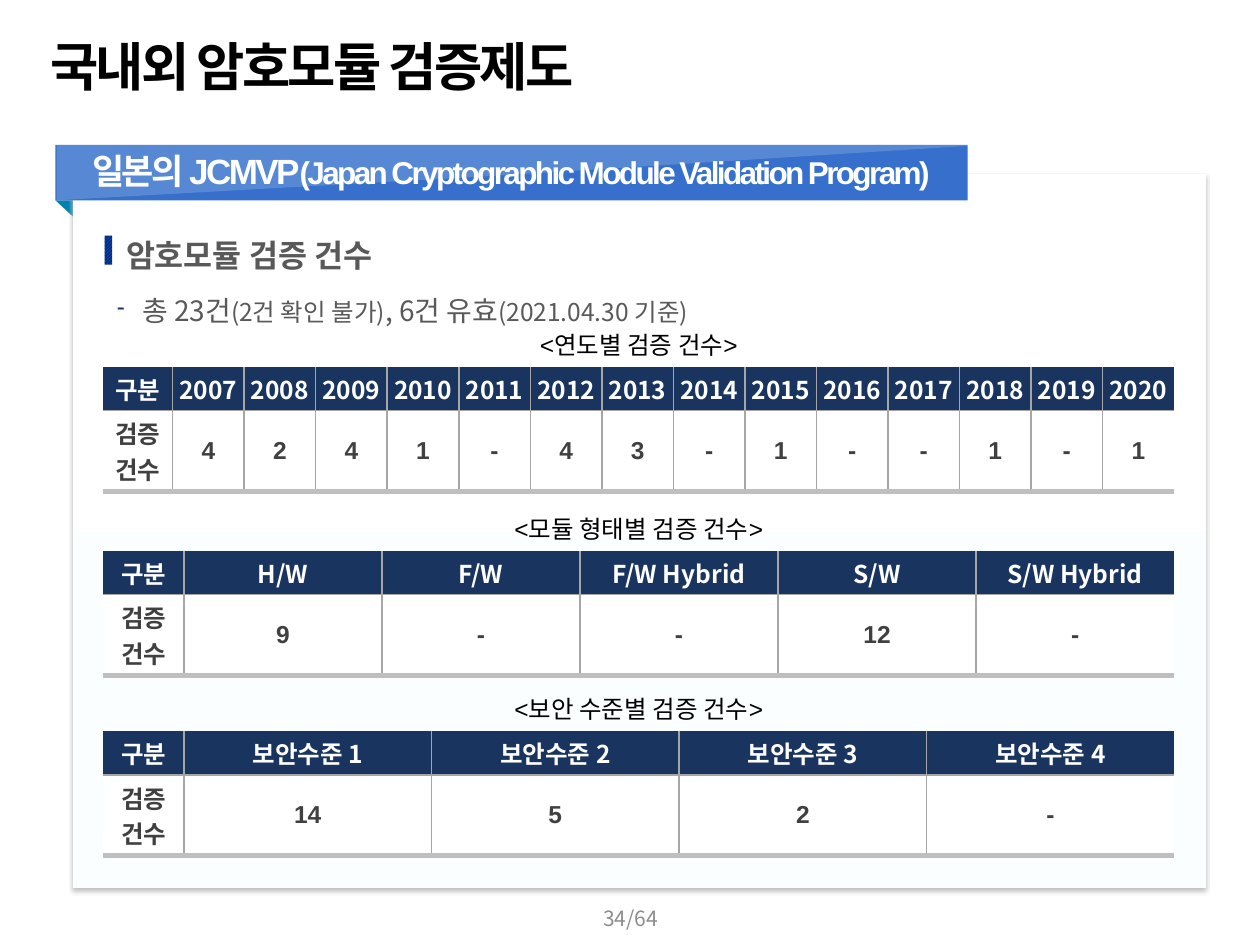
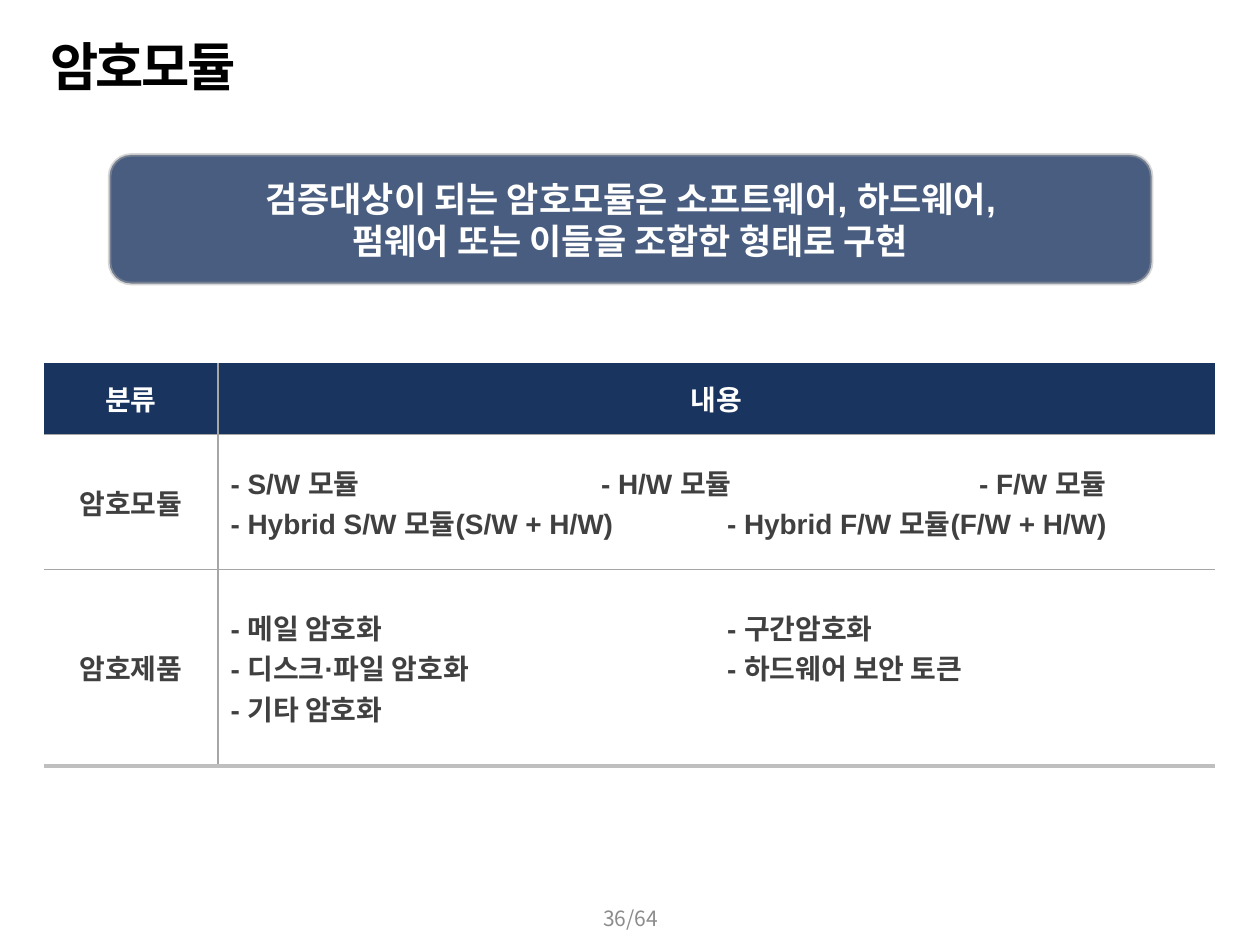
from dataclasses import dataclass, replace

from lxml import etree
from pptx import Presentation
from pptx.dml.color import RGBColor
from pptx.enum.dml import MSO_PATTERN
from pptx.enum.shapes import MSO_SHAPE
from pptx.enum.text import MSO_ANCHOR, PP_ALIGN
from pptx.oxml.ns import qn
from pptx.util import Inches, Pt


@dataclass(frozen=True)
class TextStyle:
    size: int
    color: str
    font: str = "Arial"
    bold: bool = False
    spacing: float = 0


@dataclass(frozen=True)
class Box:
    left: float
    top: float
    width: float
    height: float

    def inches(self):
        return [Inches(value) for value in (self.left, self.top, self.width, self.height)]

    def inner(self, left, top, width, height):
        """Return a box whose place is measured from this one's corner."""
        return Box(self.left + left, self.top + top, width, height)


class Theme:
    korean = "Noto Sans CJK KR"
    navy = "19345F"
    white = "FFFFFF"
    rule = "A6A6A6"
    bottom_rule = "BFBFBF"
    card_end = "FBFEFF"
    banner = "3670CC"
    fold = "0082B0"
    marker = ("2E64B4", "002D89")
    callout = "485D7F"
    title = TextStyle(30, "000000", bold=True, spacing=-1.5)
    banner_large = TextStyle(20, white, bold=True, spacing=-1.5)
    banner_small = replace(banner_large, size=18)
    heading = TextStyle(18, "595959", korean, True)
    detail_large = TextStyle(16, "595959", korean)
    detail_small = replace(detail_large, size=14)
    caption = TextStyle(14, "000000")
    header_cell = TextStyle(14, white, korean, True)
    body_cell = TextStyle(14, "404040", bold=True)
    callout_text = TextStyle(20, white, bold=True)
    page = TextStyle(12, "8C8C8C", korean)


def rgb(value):
    return RGBColor.from_string(value)


def add_element(parent, tag, **attributes):
    element = etree.SubElement(parent, qn(tag))
    for name, value in attributes.items():
        element.set(name, str(value))
    return element


def set_alpha(fill, percent):
    """Make a solid colour fill partly transparent."""
    color = fill.find(".//" + qn("a:srgbClr"))
    add_element(color, "a:alpha", val=percent * 1000)


def add_run(paragraph, text, style):
    run = paragraph.add_run()
    run.text = text
    formats = {"name": style.font, "size": Pt(style.size), "bold": style.bold}
    for name, value in formats.items():
        setattr(run.font, name, value)
    run.font.color.rgb = rgb(style.color)
    properties = run.font._element
    add_element(properties, "a:ea", typeface=Theme.korean)
    if style.spacing:
        properties.set("spc", str(int(style.spacing * 100)))


def write(frame, lines, style, align=PP_ALIGN.LEFT):
    """Write one paragraph a line; a line is text or (text, style) pairs."""
    for index, line in enumerate(lines):
        paragraph = frame.add_paragraph() if index else frame.paragraphs[0]
        paragraph.alignment = align
        for text, run_style in [(line, style)] if isinstance(line, str) else line:
            add_run(paragraph, text, run_style)
    return frame.paragraphs


def set_frame(frame, margins=(0.1, 0.05, 0.1, 0.05), anchor=MSO_ANCHOR.TOP, wrap=True):
    formats = {"vertical_anchor": anchor, "word_wrap": wrap}
    for side, margin in zip(("left", "top", "right", "bottom"), margins):
        formats["margin_" + side] = Inches(margin)
    for name, value in formats.items():
        setattr(frame, name, value)
    return frame


def add_text(shapes, box, lines, style, align=PP_ALIGN.LEFT, **frame_formats):
    frame = shapes.add_textbox(*box.inches()).text_frame
    return write(set_frame(frame, **frame_formats), lines, style, align)


def add_shape(shapes, kind, box, color=None):
    shape = shapes.add_shape(kind, *box.inches())
    shape.shadow.inherit = False
    shape.line.fill.background()
    if color:
        shape.fill.solid()
        shape.fill.fore_color.rgb = rgb(color)
    return shape


def add_tabs(paragraph, positions):
    tabs = add_element(paragraph._p.get_or_add_pPr(), "a:tabLst")
    for position in positions:
        add_element(tabs, "a:tab", pos=Inches(position), algn="l")


def set_borders(cell, edges):
    """Draw each edge as (colour, points); None hides the edge."""
    properties = cell._tc.get_or_add_tcPr()
    for index, (side, edge) in enumerate(edges.items()):
        line = etree.Element(qn("a:ln" + side))
        if edge:
            color, points = edge
            line.set("w", str(Pt(points)))
            fill = add_element(line, "a:solidFill")
            add_element(fill, "a:srgbClr", val=color)
        else:
            add_element(line, "a:noFill")
        properties.insert(index, line)


def add_ruled_table(slide, box, widths, heights, rows, size=14):
    """Add a table with a navy header row; a cell is a list of lines."""
    table = slide.shapes.add_table(len(rows), len(widths), *box.inches()).table
    table.first_row = table.horz_banding = False
    for column, width in zip(table.columns, widths):
        column.width = Inches(width)
    for row, height in zip(table.rows, heights):
        row.height = Inches(height)
    thin, thick = (Theme.rule, 1), (Theme.bottom_rule, 3)
    last_row, last_column = len(rows) - 1, len(widths) - 1
    for row, cells in enumerate(rows):
        style = Theme.body_cell if row else Theme.header_cell
        for column, lines in enumerate(cells):
            cell = table.cell(row, column)
            cell.fill.solid()
            cell.fill.fore_color.rgb = rgb(Theme.white if row else Theme.navy)
            set_borders(cell, {
                "L": thin if column else None,
                "R": thin if column < last_column else None,
                "T": thin if row else None,
                "B": thin if row < last_row else thick,
            })
            formats = {"vertical_anchor": MSO_ANCHOR.MIDDLE,
                       "margin_left": Inches(0.04), "margin_right": Inches(0.04),
                       "margin_top": Inches(0.02), "margin_bottom": Inches(0.02)}
            for name, value in formats.items():
                setattr(cell, name, value)
            write(cell.text_frame, lines, replace(style, size=size), PP_ALIGN.CENTER)
    return table


def add_page(presentation, title, number):
    slide = presentation.slides.add_slide(presentation.slide_layouts[6])
    add_text(slide.shapes, Box(0.24, 0.22, 9.3, 0.57), [title], Theme.title,
             margins=(0.16, 0.05, 0.1, 0.05))
    add_text(slide.shapes, Box(3.88, 7.09, 2.25, 0.4), [f"{number}/64"], Theme.page,
             PP_ALIGN.CENTER, anchor=MSO_ANCHOR.MIDDLE)
    return slide


def add_card(slide, box):
    fold = add_shape(slide.shapes, MSO_SHAPE.RIGHT_TRIANGLE,
                     box.inner(-0.13, 0.2, 0.27, 0.29), Theme.fold)
    fold.rotation = 270
    fold._element.spPr.find(qn("a:xfrm")).set("flipH", "1")

    card = add_shape(slide.shapes, MSO_SHAPE.RECTANGLE, box)
    card.fill.gradient()
    card.fill.gradient_angle = 270
    for stop, color in zip(card.fill.gradient_stops, (Theme.white, Theme.card_end)):
        stop.color.rgb = rgb(color)
    effects = card._element.spPr.find(qn("a:effectLst"))
    shadow = add_element(effects, "a:outerShdw", blurRad=Pt(2), dist=Pt(2),
                         dir=90 * 60000, algn="t", rotWithShape=0)
    add_element(shadow, "a:srgbClr", val=Theme.bottom_rule)


def add_banner(slide, box, runs):
    shapes = slide.shapes.add_group_shape().shapes
    add_shape(shapes, MSO_SHAPE.RECTANGLE, box, Theme.banner)
    outline = [(0.01, 0), (7.37, 0), (3.42, 0.25), (0.01, 0.44)]
    points = [(Inches(box.left + x), Inches(box.top + y)) for x, y in outline]
    builder = shapes.build_freeform(*points[0])
    builder.add_line_segments(points[1:], close=True)
    gloss = builder.convert_to_shape()
    gloss.shadow.inherit = False
    gloss.line.fill.background()
    gloss.fill.solid()
    gloss.fill.fore_color.rgb = rgb(Theme.white)
    set_alpha(gloss._element.spPr, 17)
    add_text(shapes, box.inner(0.2, 0.04, 6.83, 0.33), [runs], Theme.banner_large,
             PP_ALIGN.CENTER, margins=(0, 0, 0, 0), anchor=MSO_ANCHOR.MIDDLE, wrap=False)


def add_summary(slide, box, heading, detail_runs):
    marker = add_shape(slide.shapes, MSO_SHAPE.RECTANGLE, box.inner(0.1, 0.06, 0.06, 0.23))
    marker.fill.patterned()
    marker.fill.pattern = MSO_PATTERN.LIGHT_UPWARD_DIAGONAL
    marker.fill.fore_color.rgb, marker.fill.back_color.rgb = map(rgb, Theme.marker)

    first, detail = add_text(slide.shapes, box, [heading, detail_runs], Theme.heading,
                             margins=(0.2, 0, 0.04, 0))
    first.line_spacing = 1.2
    first._p.get_or_add_pPr().set("marL", str(Inches(0.07)))
    detail.line_spacing = 1.5
    detail.space_before = Pt(2)
    properties = detail._p.get_or_add_pPr()
    for name, value in {"marL": 0.2, "indent": -0.2}.items():
        properties.set(name, str(Inches(value)))
    color = add_element(properties, "a:buClr")
    add_element(color, "a:srgbClr", val=Theme.navy)
    add_element(properties, "a:buSzPct", val=80000)
    add_element(properties, "a:buChar", char="-")
    add_tabs(detail, [0.2])


def add_count_table(slide, box, caption, label_width, counts):
    """Add a captioned table of validation counts by category."""
    add_text(slide.shapes, box.inner(0, -0.34, box.width, 0.34), [f"<{caption}>"],
             Theme.caption, PP_ALIGN.CENTER)
    width = (box.width - label_width) / len(counts)
    rows = [[["구분"]] + [[name] for name in counts],
            [["검증", "건수"]] + [[count] for count in counts.values()]]
    add_ruled_table(slide, box, [label_width] + [width] * len(counts), [0.35, 0.64], rows)


def build_japan_program(presentation):
    slide = add_page(presentation, "국내외 암호모듈 검증제도", 34)
    add_card(slide, Box(0.58, 1.38, 8.99, 5.67))
    add_banner(slide, Box(0.44, 1.15, 7.24, 0.44), [
        ("일본의 JCMVP", Theme.banner_large),
        ("(Japan Cryptographic Module Validation Program)", Theme.banner_small)])
    add_summary(slide, Box(0.73, 1.81, 8.69, 0.8), "암호모듈 검증 건수", [
        ("총 23건", Theme.detail_large), ("(2건 확인 불가)", Theme.detail_small),
        (", 6건 유효", Theme.detail_large), ("(2021.04.30 기준)", Theme.detail_small)])
    years = [str(year) for year in range(2007, 2021)]
    count_tables = [
        (2.91, "연도별 검증 건수", 0.55, dict(zip(years, "4241-43-1--1-1"))),
        (4.37, "모듈 형태별 검증 건수", 0.64,
         {"H/W": "9", "F/W": "-", "F/W Hybrid": "-", "S/W": "12", "S/W Hybrid": "-"}),
        (5.8, "보안 수준별 검증 건수", 0.64,
         {f"보안수준 {level}": count for level, count in enumerate(("14", "5", "2", "-"), 1)}),
    ]
    for top, caption, label_width, counts in count_tables:
        add_count_table(slide, Box(0.82, top, 8.5, 0.99), caption, label_width, counts)


def add_callout(slide, box, lines):
    callout = add_shape(slide.shapes, MSO_SHAPE.ROUNDED_RECTANGLE, box, Theme.callout)
    callout.line.color.rgb = rgb(Theme.rule)
    callout.line.width = Pt(2)
    set_alpha(callout.line._ln, 45)
    frame = set_frame(callout.text_frame, anchor=MSO_ANCHOR.MIDDLE)
    write(frame, lines, Theme.callout_text, PP_ALIGN.CENTER)


def add_class_table(slide, box):
    modules = ["- S/W 모듈\t- H/W 모듈\t- F/W 모듈",
               "- Hybrid S/W 모듈(S/W + H/W)\t- Hybrid F/W 모듈(F/W + H/W)"]
    products = ["- 메일 암호화\t- 구간암호화",
                "- 디스크·파일 암호화\t- 하드웨어 보안 토큰",
                "- 기타 암호화"]
    rows = [[["분류"], ["내용"]], [["암호모듈"], modules], [["암호제품"], products]]
    table = add_ruled_table(slide, box, [1.38, box.width - 1.38], [0.57, 1.07, 1.56],
                            rows, size=16)
    thirds, halves = [2.94, 5.94], [3.94]
    for row, tab_rows in ((1, [thirds, halves]), (2, [halves] * 3)):
        cell = table.cell(row, 1)
        cell.margin_left = Inches(0.1)
        for paragraph, positions in zip(cell.text_frame.paragraphs, tab_rows):
            paragraph.alignment = PP_ALIGN.LEFT
            add_tabs(paragraph, positions)


def build_module_classes(presentation):
    slide = add_page(presentation, "암호모듈", 36)
    add_callout(slide, Box(0.87, 1.23, 8.27, 1.02), [
        "검증대상이 되는 암호모듈은 소프트웨어, 하드웨어,",
        "펌웨어 또는 이들을 조합한 형태로 구현"])
    add_class_table(slide, Box(0.35, 2.88, 9.29, 3.2))


def main():
    presentation = Presentation()
    presentation.slide_width, presentation.slide_height = Inches(10), Inches(7.5)
    build_japan_program(presentation)
    build_module_classes(presentation)
    presentation.save("out.pptx")


if __name__ == "__main__":
    main()
